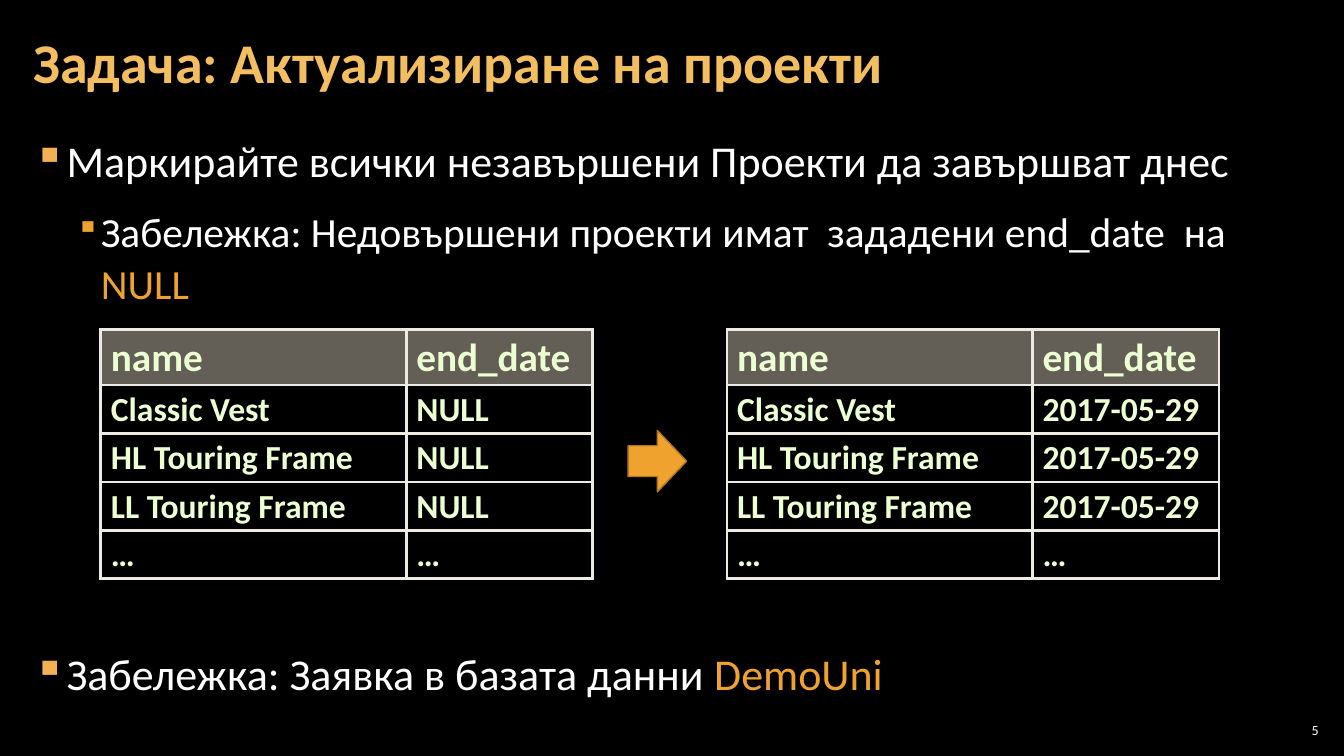
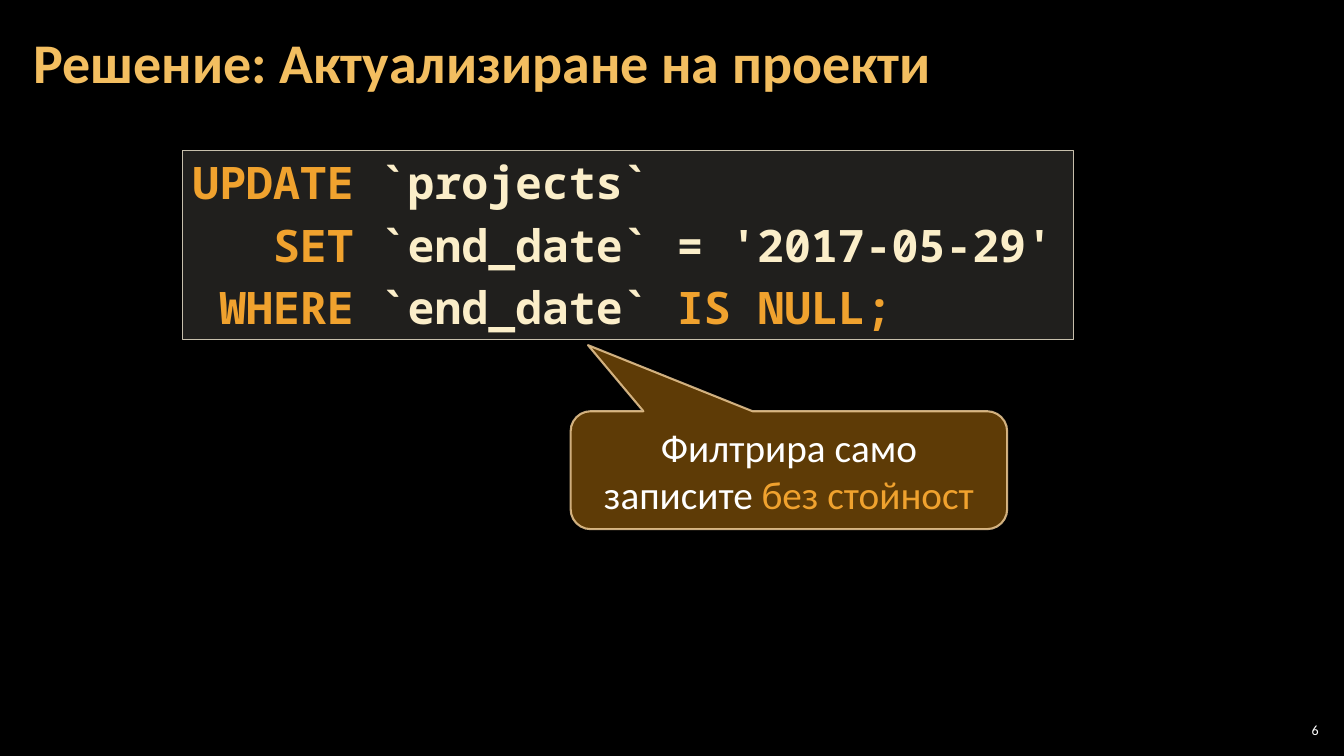
"""Build two slides: an SQL update exercise and its solution."""
from lxml import etree
from pptx import Presentation
from pptx.dml.color import RGBColor
from pptx.enum import shapes, text
from pptx.oxml import ns
from pptx.util import Inches, Pt

BLACK = RGBColor(0x00, 0x00, 0x00)
WHITE = RGBColor(0xFF, 0xFF, 0xFF)
TITLE_GOLD = RGBColor(0xF3, 0xBE, 0x60)
BULLET_GOLD = RGBColor(0xF2, 0xB2, 0x54)
ORANGE = RGBColor(0xF0, 0xA2, 0x2E)
ARROW_EDGE = RGBColor(0xB2, 0x78, 0x22)
SAND = RGBColor(0xC7, 0xBF, 0xAC)
CODE_FILL = RGBColor(0xD9, 0xD5, 0xC7)
CODE_TEXT = RGBColor(0xFB, 0xEE, 0xC9)
CELL_TEXT = RGBColor(0xEB, 0xFF, 0xD2)
CELL_EDGE = RGBColor(0xEC, 0xEA, 0xE3)
CALLOUT_FILL = RGBColor(0x64, 0x3F, 0x07)
CALLOUT_EDGE = RGBColor(0xF8, 0xD4, 0x9E)
BODY_FONT = "Calibri"
CODE_FONT = "Noto Sans Mono"
PROJECTS = ["Classic Vest", "HL Touring Frame", "LL Touring Frame"]


def add_element(parent, tag, **attributes):
    element = etree.SubElement(parent, ns.qn(tag))
    for name, value in attributes.items():
        element.set(name, str(value))
    return element


def write(paragraph, content, size=28, color=WHITE, bold=False, font=BODY_FONT):
    run = paragraph.add_run()
    run.text = content
    run.font.name = font
    run.font.size = Pt(size)
    run.font.bold = bold
    run.font.color.rgb = color


def write_runs(paragraph, runs, **text_format):
    for content, color in runs:
        write(paragraph, content, color=color, **text_format)


def next_paragraph(frame, index):
    return frame.add_paragraph() if index else frame.paragraphs[0]


def set_alpha(fill, percent):
    color = fill._xPr.find(ns.qn("a:solidFill"))[0]
    add_element(color, "a:alpha", val=percent * 1000)


def add_text_box(slide, box, inset, anchor=text.MSO_ANCHOR.TOP):
    frame = slide.shapes.add_textbox(*map(Inches, box)).text_frame
    frame.word_wrap = True
    frame.vertical_anchor = anchor
    frame.margin_left = frame.margin_right = Inches(inset)
    frame.margin_top = frame.margin_bottom = Inches(0.04)
    return frame


def add_titled_slide(presentation, title, number):
    slide = presentation.slides.add_slide(presentation.slide_layouts[6])
    frame = add_text_box(slide, (0.21, 0.04, 12.91, 1.21), 0.12, text.MSO_ANCHOR.MIDDLE)
    frame.paragraphs[0].line_spacing = 0.9
    write(frame.paragraphs[0], title, size=40, color=TITLE_GOLD, bold=True)
    frame = add_text_box(slide, (12.65, 7.14, 0.47, 0.21), 0.04, text.MSO_ANCHOR.MIDDLE)
    frame.paragraphs[0].alignment = text.PP_ALIGN.RIGHT
    write(frame.paragraphs[0], str(number), size=10)
    return slide


def add_bullet(paragraph, runs, level=0, space_before=6):
    indent, hanging, size, color, scale = [
        (0.33, 0.33, 31.4, BULLET_GOLD, 100),
        (0.67, 0.25, 29.6, ORANGE, 80),
    ][level]
    paragraph.level = level
    properties = paragraph._p.get_or_add_pPr()
    properties.set("marL", str(Inches(indent)))
    properties.set("indent", str(-Inches(hanging)))
    add_element(add_element(properties, "a:buClr"), "a:srgbClr", val=color)
    add_element(properties, "a:buSzPct", val=scale * 1000)
    add_element(properties, "a:buChar", char="▪")
    paragraph.line_spacing = 1.05
    paragraph.space_before = Pt(space_before)
    paragraph.space_after = Pt(6)
    write_runs(paragraph, runs, size=size)


def style_cell(cell, content, is_header):
    properties = cell._tc.get_or_add_tcPr()
    for side in ("a:lnL", "a:lnR", "a:lnT", "a:lnB"):
        line = add_element(properties, side, w=Pt(2.25))
        add_element(add_element(line, "a:solidFill"), "a:srgbClr", val=CELL_EDGE)
    if is_header:
        cell.fill.solid()
        cell.fill.fore_color.rgb = SAND
        set_alpha(cell.fill, 50)
    else:
        cell.fill.background()
    paragraph = cell.text_frame.paragraphs[0]
    paragraph.line_spacing = 0.95
    write(paragraph, content, size=28 if is_header else 24, color=CELL_TEXT, bold=True)


def add_project_table(slide, left, end_date):
    rows = [("name", "end_date"), *((name, end_date) for name in PROJECTS), ("…", "…")]
    box = (left, 3.27, 4.88, 2.5)
    table = slide.shapes.add_table(len(rows), 2, *map(Inches, box)).table
    table.first_row = table.horz_banding = False
    for column, width in zip(table.columns, (3.03, 1.85)):
        column.width = Inches(width)
    for row_index, values in enumerate(rows):
        is_header = row_index == 0
        table.rows[row_index].height = Inches(0.55 if is_header else 0.48)
        for column_index, value in enumerate(values):
            style_cell(table.cell(row_index, column_index), value, is_header)


def add_filled_shape(slide, kind, box, fill, edge, edge_width=1, alpha=100):
    shape = slide.shapes.add_shape(kind, *map(Inches, box))
    shape.shadow.inherit = False
    shape.fill.solid()
    shape.fill.fore_color.rgb = fill
    if alpha < 100:
        set_alpha(shape.fill, alpha)
    shape.line.color.rgb = edge
    shape.line.width = Pt(edge_width)
    shape.text_frame.word_wrap = True
    return shape


def add_code_box(slide, box, lines):
    shape = add_filled_shape(slide, shapes.MSO_SHAPE.RECTANGLE, box, CODE_FILL, SAND, alpha=15)
    frame = shape.text_frame
    frame.vertical_anchor = text.MSO_ANCHOR.TOP
    for index, runs in enumerate(lines):
        paragraph = next_paragraph(frame, index)
        paragraph.alignment = text.PP_ALIGN.LEFT
        if index:
            paragraph.space_before = Pt(6)
        write_runs(paragraph, runs, size=32, bold=True, font=CODE_FONT)


def add_callout(slide, box, runs):
    kind = shapes.MSO_SHAPE.ROUNDED_RECTANGULAR_CALLOUT
    shape = add_filled_shape(slide, kind, box, CALLOUT_FILL, CALLOUT_EDGE, 1.5, 95)
    set_alpha(shape.line.fill, 80)
    for index, value in enumerate((-0.46, -1.06, 0.17)):
        shape.adjustments[index] = value
    shape.text_frame.vertical_anchor = text.MSO_ANCHOR.MIDDLE
    paragraph = shape.text_frame.paragraphs[0]
    paragraph.alignment = text.PP_ALIGN.CENTER
    write_runs(paragraph, runs, size=28)


def build_task(presentation):
    slide = add_titled_slide(presentation, "Задача: Актуализиране на проекти", 5)
    body = add_text_box(slide, (0.21, 1.26, 12.91, 6.09), 0.12)
    bullets = [
        ([("Маркирайте всички незавършени Проекти да завършват днес", WHITE)], 0, 0),
        ([("Забележка: Недовършени проекти имат  зададени end_date  на ", WHITE),
          ("NULL", ORANGE)], 1, 6),
        ([("Забележка: Заявка в базата данни ", WHITE), ("DemoUni", ORANGE)], 0, 234),
    ]
    for index, (runs, level, space_before) in enumerate(bullets):
        add_bullet(next_paragraph(body, index), runs, level, space_before)
    add_project_table(slide, 1, "NULL")
    add_project_table(slide, 7.21, "2017-05-29")
    arrow_box = (6.23, 4.27, 0.58, 0.61)
    add_filled_shape(slide, shapes.MSO_SHAPE.RIGHT_ARROW, arrow_box, ORANGE, ARROW_EDGE)


def build_solution(presentation):
    slide = add_titled_slide(presentation, "Решение: Актуализиране на проекти", 6)
    add_code_box(slide, (1.81, 1.49, 8.84, 1.88), [
        [("UPDATE", ORANGE), (" `projects`", CODE_TEXT)],
        [("   SET", ORANGE), (" `end_date` = '2017-05-29'", CODE_TEXT)],
        [(" WHERE", ORANGE), (" `end_date` ", CODE_TEXT), ("IS NULL;", ORANGE)],
    ])
    add_callout(slide, (5.66, 4.08, 4.33, 1.17),
                [("Филтрира само записите ", WHITE), ("без стойност", ORANGE)])


def main():
    presentation = Presentation()
    presentation.slide_width = Inches(13.33)
    presentation.slide_height = Inches(7.5)
    background = presentation.slide_master.background.fill
    background.solid()
    background.fore_color.rgb = BLACK
    build_task(presentation)
    build_solution(presentation)
    presentation.save("out.pptx")


if __name__ == "__main__":
    main()
